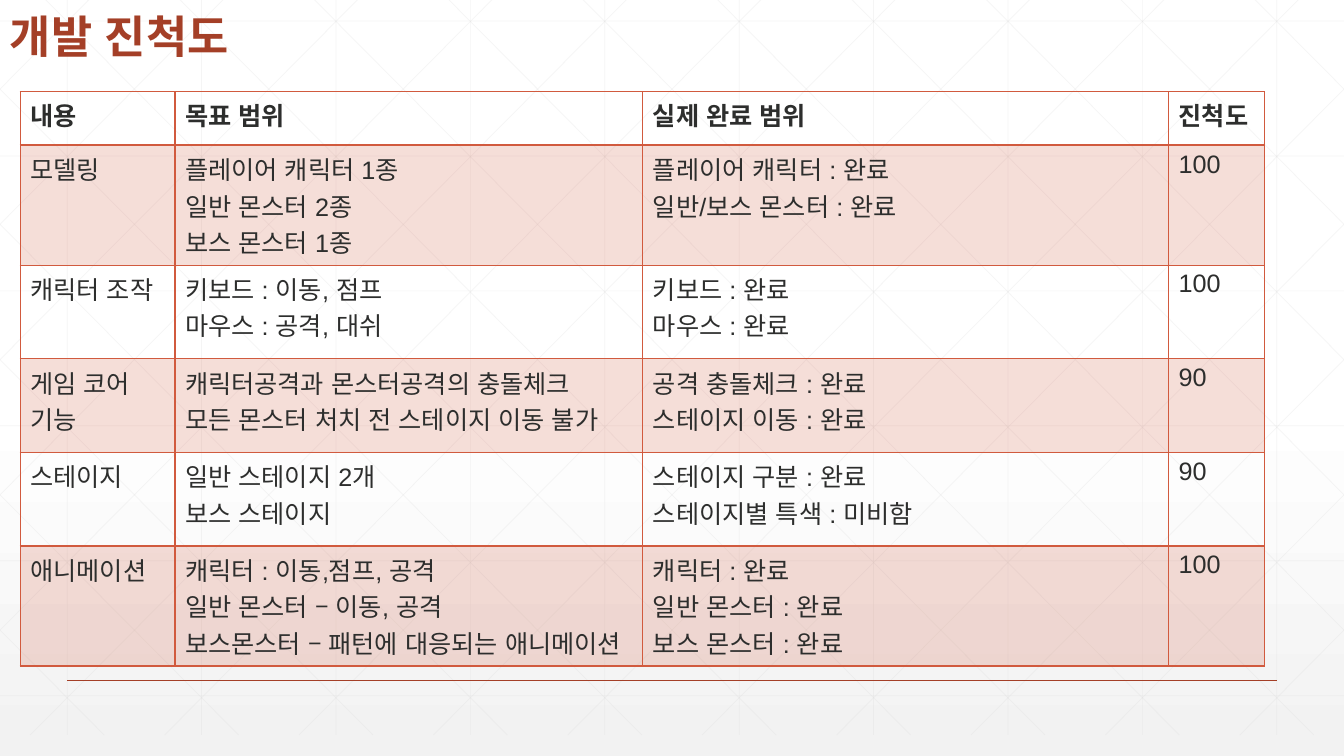
import copy

import pptx
import pptx.dml.color
import pptx.enum.lang
import pptx.enum.shapes
import pptx.enum.text
import pptx.oxml
import pptx.oxml.ns
import pptx.util
from lxml import etree

Cm = pptx.util.Cm
Pt = pptx.util.Pt
qn = pptx.oxml.ns.qn

WIDTH, HEIGHT = 33.87, 19.05
DARK_RED, RED, GREY, INK = "A43F27", "D15A3E", "D9D9D9", "2D2E2D"
KOREAN_FONT = "Noto Sans CJK KR"

TITLE_FORMAT = {"size": Pt(32), "bold": True, "name": KOREAN_FONT,
                "language_id": pptx.enum.lang.MSO_LANGUAGE_ID.KOREAN}
HEADER_FORMAT = {**TITLE_FORMAT, "size": Pt(18), "name": "Arial"}
BODY_FORMAT = {**HEADER_FORMAT, "bold": False}

COLUMN_WIDTHS = [3.9, 11.79, 13.25, 2.41]
ROW_HEIGHTS = [1.35, 3.02, 2.36, 2.36, 2.36, 3.02]
PROGRESS = [
    ["내용", "목표 범위", "실제 완료 범위", "진척도"],
    ["모델링", "플레이어 캐릭터 1종\n일반 몬스터 2종\n보스 몬스터 1종",
     "플레이어 캐릭터 : 완료\n일반/보스 몬스터 : 완료", "100"],
    ["캐릭터 조작", "키보드 : 이동, 점프\n마우스 : 공격, 대쉬",
     "키보드 : 완료\n마우스 : 완료", "100"],
    ["게임 코어 기능", "캐릭터공격과 몬스터공격의 충돌체크\n모든 몬스터 처치 전 스테이지 이동 불가",
     "공격 충돌체크 : 완료\n스테이지 이동 : 완료", "90"],
    ["스테이지", "일반 스테이지 2개\n보스 스테이지",
     "스테이지 구분 : 완료\n스테이지별 특색 : 미비함", "90"],
    ["애니메이션", "캐릭터 : 이동,점프, 공격\n일반 몬스터 – 이동, 공격\n보스몬스터 – 패턴에 대응되는 애니메이션",
     "캐릭터 : 완료\n일반 몬스터 : 완료\n보스 몬스터 : 완료", "100"],
]


def color(value):
    return pptx.dml.color.RGBColor.from_string(value)


def set_alpha(element, percent):
    for rgb in element.iter(qn("a:srgbClr")):
        etree.SubElement(rgb, qn("a:alpha")).set("val", str(percent * 1000))


def write_text(text_frame, text, formats, text_color):
    text_frame.text = text
    for paragraph in text_frame.paragraphs:
        for run in paragraph.runs:
            for name, value in formats.items():
                setattr(run.font, name, value)
            run.font.color.rgb = color(text_color)
            # Korean typeface, without pair kerning
            properties = run.font._element
            properties.set("kern", "0")
            east_asian = etree.SubElement(properties, qn("a:ea"))
            east_asian.set("typeface", KOREAN_FONT)


def add_line(slide, start, end, line_color, width, alpha=100):
    line = slide.shapes.add_connector(
        pptx.enum.shapes.MSO_CONNECTOR.STRAIGHT, *map(Cm, start + end))
    line.line.color.rgb = color(line_color)
    line.line.width = Pt(width)
    properties = line._element.spPr
    if alpha < 100:
        set_alpha(properties, alpha)
    etree.SubElement(properties, qn("a:effectLst"))


def fill_background(slide):
    fill = slide.background.fill
    fill.gradient()
    fill.gradient_angle = 270
    stop_list = next(slide.element.iter(qn("a:gsLst")))
    stop_list.append(copy.deepcopy(stop_list[-1]))
    stops = [(0, "FFFFFF"), (0.53, "FFFFFF"), (1, "F2F2F2")]
    for stop, (position, value) in zip(fill.gradient_stops, stops):
        stop.position = position
        stop.color.rgb = color(value)


def add_grid(slide, left, top, width, height):
    step, bottom, right = width / 10, top + height, left + width
    lines = []
    # Upright and level lines
    for index in range(10):
        x = left + step * (index + 0.5)
        lines.append(((x, top), (x, bottom)))
    for index in range(6):
        y = top + 1.06 + 3.4 * index
        lines.append(((left, y), (right, y)))
    # Diagonals cut at the sides, each with its mirror image
    run = 18.93
    slope = height / run
    for index in range(-5, 10):
        x = left + 0.63 + step * index
        x1, x2 = max(x, left), min(x + run, right)
        y1, y2 = top + (x1 - x) * slope, top + (x2 - x) * slope
        lines.append(((x1, y1), (x2, y2)))
        lines.append(((left + right - x1, y1), (left + right - x2, y2)))
    for start, end in lines:
        add_line(slide, start, end, GREY, 0.5, alpha=25)


def add_title(slide, left, top, width, height):
    title = slide.shapes.add_textbox(*map(Cm, (left, top, width, height)))
    frame = title.text_frame
    frame.word_wrap = True
    frame.vertical_anchor = pptx.enum.text.MSO_ANCHOR.BOTTOM
    write_text(frame, "개발 진척도", TITLE_FORMAT, DARK_RED)
    frame.paragraphs[0].line_spacing = 0.9


def set_borders(cell, widths):
    properties = cell._tc.get_or_add_tcPr()
    for index, (side, width) in enumerate(widths.items()):
        border = etree.Element(qn("a:ln" + side), w=str(Pt(width)))
        fill = etree.SubElement(border, qn("a:solidFill"))
        etree.SubElement(fill, qn("a:srgbClr")).set("val", RED)
        properties.insert(index, border)


def add_progress_table(slide, left, top, width, height):
    table = slide.shapes.add_table(
        len(PROGRESS), len(COLUMN_WIDTHS),
        *map(Cm, (left, top, width, height))).table
    table.horz_banding = False
    for column, column_width in zip(table.columns, COLUMN_WIDTHS):
        column.width = Cm(column_width)
    for row_index, (row, row_height) in enumerate(zip(table.rows, ROW_HEIGHTS)):
        row.height = Cm(row_height)
        formats = BODY_FORMAT if row_index else HEADER_FORMAT
        for cell, text in zip(row.cells, PROGRESS[row_index]):
            write_text(cell.text_frame, text, formats, INK)
            # Odd rows are tinted, the others stay clear
            if row_index % 2:
                cell.fill.solid()
                cell.fill.fore_color.rgb = color(RED)
                set_alpha(cell._tc.tcPr, 20)
            else:
                cell.fill.background()
            # The rule below the header is heavier
            set_borders(cell, {"L": 1, "R": 1,
                               "T": 2 if row_index == 1 else 1,
                               "B": 2 if row_index == 0 else 1})


def build_progress_slide(presentation):
    slide = presentation.slides.add_slide(presentation.slide_layouts[6])
    fill_background(slide)
    add_grid(slide, 0, -0.53, WIDTH, HEIGHT)
    add_line(slide, (1.69, 17.15), (32.17, 17.15), DARK_RED, 1)
    add_title(slide, 0, 0, 26.67, 1.73)
    add_progress_table(slide, 0.51, 2.31, sum(COLUMN_WIDTHS), sum(ROW_HEIGHTS))


presentation = pptx.Presentation()
presentation.slide_width = Cm(WIDTH)
presentation.slide_height = Cm(HEIGHT)
build_progress_slide(presentation)
presentation.save("out.pptx")
